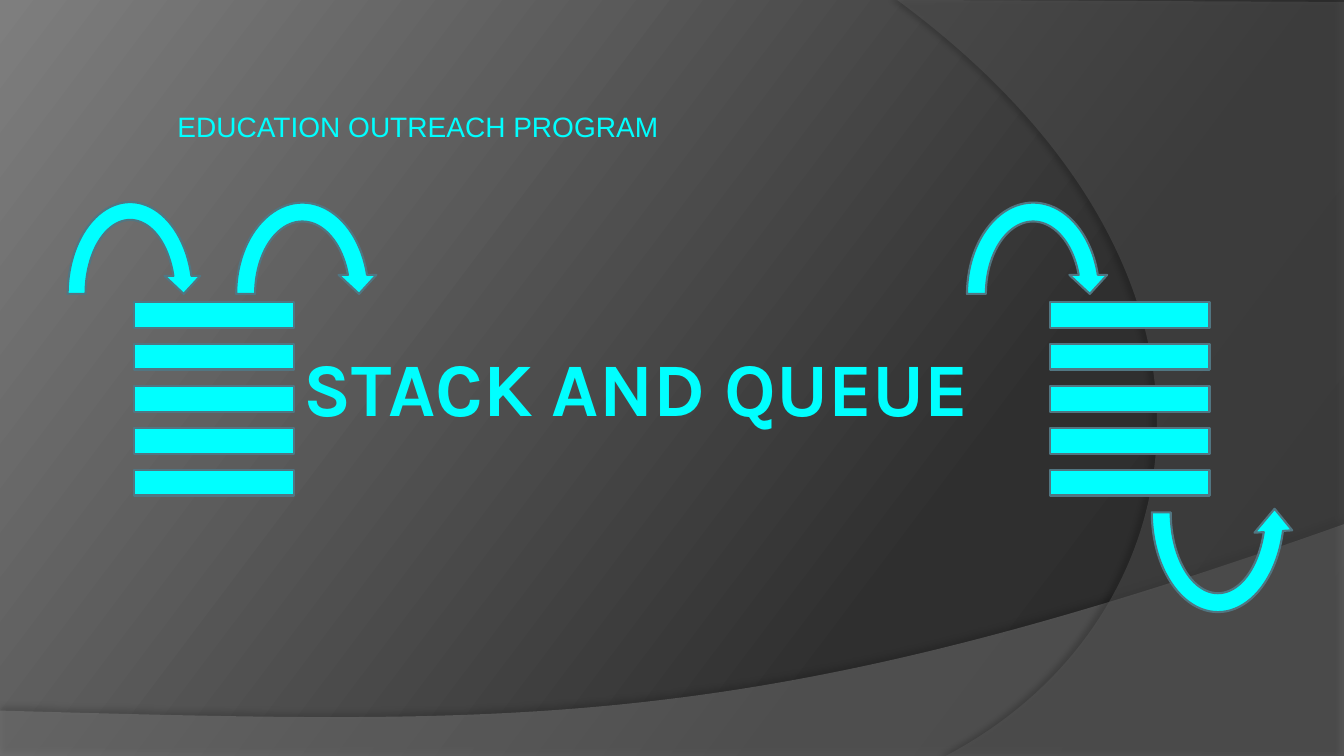
import copy

import pptx
import pptx.dml.color
import pptx.enum.shapes
import pptx.enum.text
import pptx.oxml
import pptx.oxml.ns
import pptx.util
from lxml import etree

Pt = pptx.util.Pt
qn = pptx.oxml.ns.qn
PRESET = pptx.enum.shapes.MSO_SHAPE
ANCHOR = pptx.enum.text.MSO_ANCHOR
RIGHT = pptx.enum.text.PP_ALIGN.RIGHT

WIDTH, HEIGHT = 960, 540
COLORS = {
    "accent": "00FFFF",
    "edge": "517682",
    "letter edge": "5DD4FF",
    "wave": "7F7F7F",
    "arc": "5E5E5E",
    "shadow": "000000",
    "dark": "282828",
    "middle": "2F2F2F",
    "light": "7E7E7E",
}


def rgb(name):
    return pptx.dml.color.RGBColor.from_string(COLORS[name])


def add_color(parent, name, opacity=100):
    """Append an RGB colour element with the given opacity in percent."""
    color = etree.SubElement(parent, qn("a:srgbClr"), val=COLORS[name])
    etree.SubElement(color, qn("a:alpha"), val=str(opacity * 1000))


def paint_background(slide):
    fill = slide.background.fill
    fill.gradient()
    fill.gradient_angle = 143
    stop_list = next(slide.background._cSld.iter(qn("a:gsLst")))
    stop_list.append(copy.deepcopy(stop_list[-1]))
    shades = (("dark", 0), ("middle", 0.3), ("light", 1))
    for stop, (name, position) in zip(fill.gradient_stops, shades):
        stop.color.rgb = rgb(name)
        stop.position = position


def bend_first_side(area, controls):
    """Turn the first side of a freeform into a curve with two control points."""
    side = next(area._element.spPr.iter(qn("a:lnTo")))
    curve = etree.Element(qn("a:cubicBezTo"))
    for x, y in controls:
        etree.SubElement(curve, qn("a:pt"), x=str(Pt(x) - area.left),
                         y=str(Pt(y) - area.top))
    curve.append(side[0])
    side.getparent().replace(side, curve)


def add_backdrop(slide, corners, controls, color, opacity, shadow):
    """Draw a translucent area; shadow is opacity, blur, distance, direction."""
    start, *others = [(Pt(x), Pt(y)) for x, y in corners]
    builder = slide.shapes.build_freeform(*start)
    builder.add_line_segments(others, close=True)
    area = builder.convert_to_shape()
    bend_first_side(area, controls)
    area.fill.solid()
    area.fill.fore_color.rgb = rgb(color)
    area_color = next(area._element.spPr.iter(qn("a:srgbClr")))
    etree.SubElement(area_color, qn("a:alpha"), val=str(opacity * 1000))
    area.line.fill.background()
    area.shadow.inherit = False
    shade, blur, distance, direction = shadow
    effects = area._element.spPr.find(qn("a:effectLst"))
    outer = etree.SubElement(effects, qn("a:outerShdw"), blurRad=str(Pt(blur)),
                             dist=str(Pt(distance)), dir=str(direction * 60000),
                             algn="ctr", rotWithShape="0")
    add_color(outer, "shadow", shade)


def add_backdrops(slide):
    add_backdrop(slide, ((WIDTH, 374.4), (0, 507.6), (0, HEIGHT), (WIDTH, HEIGHT)),
                 ((536.4, 524.9), (375.1, 517.7)), "wave", 45, (35, 4, 3.5, 270))
    add_backdrop(slide, ((675.4, HEIGHT), (640.8, 0), (WIDTH, 1.4), (WIDTH, HEIGHT)),
                 ((855.4, 445.7), (909.4, 198)), "arc", 40, (45, 4, 4, 180))


def add_label(slide, box, text, anchor, margins, font_format):
    """Add one right-aligned line of accent text and return its run."""
    frame = slide.shapes.add_textbox(*map(Pt, box)).text_frame
    left, top, right, bottom = map(Pt, margins)
    frame_format = {"word_wrap": True, "vertical_anchor": anchor,
                    "margin_left": left, "margin_top": top,
                    "margin_right": right, "margin_bottom": bottom}
    for key, value in frame_format.items():
        setattr(frame, key, value)
    paragraph = frame.paragraphs[0]
    paragraph.alignment = RIGHT
    run = paragraph.add_run()
    run.text = text
    run.font.color.rgb = rgb("accent")
    for key, value in font_format.items():
        setattr(run.font, key, value)
    return run


def add_headings(slide):
    title = add_label(slide, (186, 240, 510, 78), "STACK AND QUEUE", ANCHOR.TOP,
                      (3.6, 3.6, 3.6, 3.6),
                      {"name": "Karla", "size": Pt(54), "bold": True})
    edge = etree.Element(qn("a:ln"), w=str(Pt(0.39)))
    add_color(etree.SubElement(edge, qn("a:solidFill")), "letter edge")
    title.font._element.insert(0, edge)
    add_label(slide, (48, 24, 426, 78), "EDUCATION OUTREACH PROGRAM", ANCHOR.BOTTOM,
              (7.2, 0, 3.6, 0), {"name": "Arial", "size": Pt(20)})


def add_accent_shape(slide, preset, box):
    shape = slide.shapes.add_shape(preset, *map(Pt, box))
    shape.shadow.inherit = False
    shape.fill.solid()
    shape.fill.fore_color.rgb = rgb("accent")
    shape.line.color.rgb = rgb("edge")
    shape.line.width = Pt(1.5)
    return shape


def add_bars(slide, box, count=5, bar_height=18):
    """Spread equal bars evenly over the height of the box."""
    left, top, width, height = box
    pitch = (height - bar_height) / (count - 1)
    for index in range(count):
        add_accent_shape(slide, PRESET.RECTANGLE,
                         (left, top + index * pitch, width, bar_height))


def add_stack(slide, left, top):
    add_bars(slide, (left, top, 114, 138))
    for offset, width in ((-54, 102), (66, 108)):
        add_accent_shape(slide, PRESET.CIRCULAR_ARROW,
                         (left + offset, top - 78, width, 144))


def add_queue(slide, left, top):
    add_bars(slide, (left, top, 114, 138))
    add_accent_shape(slide, PRESET.CIRCULAR_ARROW, (left - 66, top - 78, 108, 144))
    leaving = add_accent_shape(slide, PRESET.CIRCULAR_ARROW,
                               (left + 66, top + 72, 108, 156))
    leaving.adjustments[1] = 13.6
    leaving._element.spPr.find(qn("a:xfrm")).set("flipV", "1")


def main():
    deck = pptx.Presentation()
    deck.slide_width, deck.slide_height = Pt(WIDTH), Pt(HEIGHT)
    slide = deck.slides.add_slide(deck.slide_layouts[6])
    paint_background(slide)
    add_backdrops(slide)
    add_headings(slide)
    add_stack(slide, 96, 216)
    add_queue(slide, 750, 216)
    deck.save("out.pptx")


if __name__ == "__main__":
    main()
